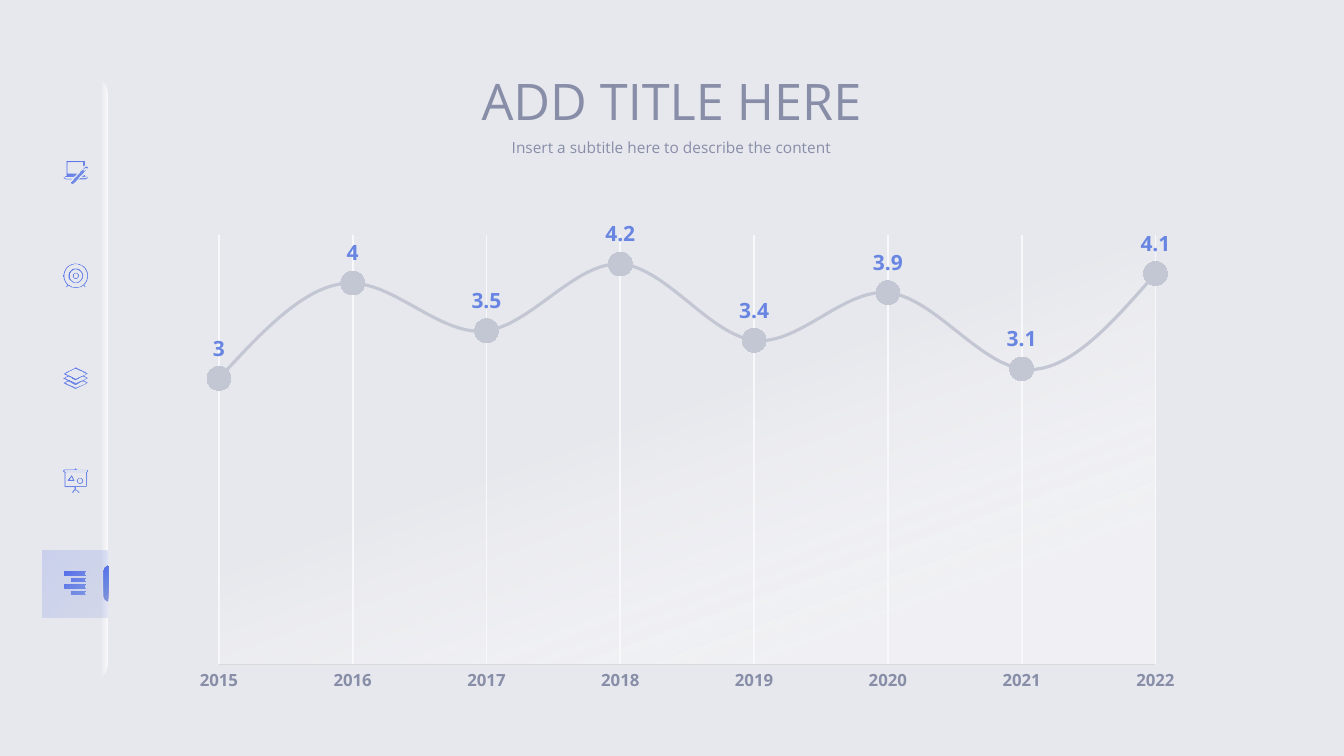
"""Build a line chart slide with a vertical icon menu."""
from math import cos, radians, sin

from lxml import etree
from pptx import Presentation
from pptx.chart.data import CategoryChartData
from pptx.dml.color import RGBColor
from pptx.enum.chart import XL_CHART_TYPE, XL_LABEL_POSITION, XL_MARKER_STYLE, XL_TICK_MARK
from pptx.enum.shapes import MSO_SHAPE
from pptx.enum.text import MSO_ANCHOR, MSO_AUTO_SIZE, PP_ALIGN
from pptx.oxml import parse_xml
from pptx.oxml.ns import nsdecls, qn
from pptx.util import Cm, Pt

LINE_MARKERS = XL_CHART_TYPE.LINE_MARKERS
ABOVE = XL_LABEL_POSITION.ABOVE
CIRCLE = XL_MARKER_STYLE.CIRCLE
NO_TICK = XL_TICK_MARK.NONE
ROUND_RECT = MSO_SHAPE.ROUNDED_RECTANGLE
TOP, BOTTOM = MSO_ANCHOR.TOP, MSO_ANCHOR.BOTTOM
NO_FIT = MSO_AUTO_SIZE.NONE
CENTER = PP_ALIGN.CENTER

PAPER = RGBColor(0xE7, 0xE8, 0xED)
LIGHT = RGBColor(0xF8, 0xF8, 0xFA)
SLATE = RGBColor(0x88, 0x8E, 0xA8)
SILVER = RGBColor(0xC3, 0xC6, 0xD3)
AXIS = RGBColor(0xD9, 0xD9, 0xD9)
ROYAL = RGBColor(0x57, 0x70, 0xEB)
BLUE = RGBColor(0x68, 0x85, 0xE2)
PALE_BLUE = RGBColor(0x87, 0x97, 0xD9)
FONT = "Open Sans"


def set_text(sp, text, size, color=SLATE, anchor=TOP, spacing=1.0):
    tf = sp.text_frame
    tf.word_wrap = True
    tf.auto_size = NO_FIT
    tf.vertical_anchor = anchor
    tf.margin_left = tf.margin_right = 0
    tf.margin_top = tf.margin_bottom = Cm(0.13)
    p = tf.paragraphs[0]
    p.alignment = CENTER
    p.line_spacing = spacing
    p.space_before = Pt(0)
    pPr = p._p.get_or_add_pPr()
    pPr.set("marL", "0")
    pPr.set("indent", "0")
    etree.SubElement(pPr, qn("a:buNone"))
    r = p.add_run()
    r.text = text
    r.font.name = FONT
    r.font.size = Pt(size)
    r.font.color.rgb = color


def gradient(stops, angle=None):
    marks = "".join(
        f'<a:gs pos="{pos * 1000}"><a:srgbClr val="{color}">'
        f'<a:alpha val="{alpha * 1000}"/></a:srgbClr></a:gs>'
        for pos, color, alpha in stops)
    if angle is None:
        way = '<a:path path="circle"><a:fillToRect r="100000" b="100000"/></a:path>'
    else:
        way = f'<a:lin ang="{angle * 60000}" scaled="0"/>'
    return parse_xml(f'<a:gradFill {nsdecls("a")} rotWithShape="1">'
                     f'<a:gsLst>{marks}</a:gsLst>{way}</a:gradFill>')


prs = Presentation()
prs.slide_width, prs.slide_height = Cm(33.87), Cm(19.05)
s = prs.slides.add_slide(prs.slide_layouts[1])
s.background.fill.solid()
s.background.fill.fore_color.rgb = PAPER

title, subtitle = s.placeholders
for sp, top, height in [(title, 1.78, 1.65), (subtitle, 3.35, 0.74)]:
    sp.left, sp.top, sp.width, sp.height = Cm(10.03), Cm(top), Cm(13.79), Cm(height)
set_text(title, "ADD TITLE HERE", 36, anchor=BOTTOM, spacing=0.9)
set_text(subtitle, "Insert a subtitle here to describe the content", 11)

data = CategoryChartData()
data.categories = [str(year) for year in range(2015, 2023)]
data.add_series("Series 1", [3, 4, 3.5, 4.2, 3.4, 3.9, 3.1, 4.1])
chart = s.shapes.add_chart(LINE_MARKERS, Cm(4.52), Cm(5.54), Cm(25.6), Cm(12.14), data).chart
chart.has_title = chart.has_legend = False
chart.font.name, chart.font.size = FONT, Pt(10)

years = chart.category_axis
years.major_tick_mark = years.minor_tick_mark = NO_TICK
years.has_major_gridlines = True
for line, color, width in [(years.format.line, AXIS, 0.75),
                           (years.major_gridlines.format.line, LIGHT, 1.25)]:
    line.color.rgb = color
    line.width = Pt(width)

values = chart.value_axis
values.minimum_scale, values.maximum_scale = 0, 4.5
values.has_major_gridlines = False
values.visible = False

plot = chart.plots[0]
plot.vary_by_categories = False
plot.has_data_labels = True
labels = plot.data_labels
labels.show_value = True
labels.position = ABOVE
for font, size, color in [(years.tick_labels.font, 12, SLATE), (labels.font, 15, BLUE)]:
    font.name, font.size, font.bold = FONT, Pt(size), True
    font.color.rgb = color

series = plot.series[0]
series.smooth = True
series.format.line.color.rgb = SILVER
series.format.line.width = Pt(2.25)
marker = series.marker
marker.style, marker.size = CIRCLE, 17
marker.format.fill.solid()
marker.format.fill.fore_color.rgb = SILVER
marker.format.line.fill.background()

area = chart.element.find(".//" + qn("c:plotArea"))
val_ax = area.find(qn("c:valAx"))
for parent, tag in [(area, "c:layout"), (val_ax, "c:crossBetween")]:
    for old in parent.findall(qn(tag)):
        parent.remove(old)
val_ax.find(qn("c:crosses")).addnext(
    parse_xml(f'<c:crossBetween {nsdecls("c")} val="midCat"/>'))
frame = "".join(f'<c:{key} val="{val}"/>' for key, val in [
    ("layoutTarget", "inner"), ("xMode", "edge"), ("yMode", "edge"),
    ("x", 0.039), ("y", 0.03), ("w", 0.922), ("h", 0.893)])
area.insert(0, parse_xml(
    f'<c:layout {nsdecls("c")}><c:manualLayout>{frame}</c:manualLayout></c:layout>'))
area_pr = etree.SubElement(area, qn("c:spPr"))
area_pr.append(gradient([(41, PAPER, 100), (81, LIGHT, 55)], 70))

menu_stops = [(0, LIGHT, 100), (11, PAPER, 100), (100, PAPER, 100)]
active_stops = [(0, ROYAL, 20), (50, BLUE, 20), (100, PALE_BLUE, 20)]
icon_stops = [(0, ROYAL, 100), (100, BLUE, 80)]
tab_stops = [(0, ROYAL, 100), (50, BLUE, 100), (100, PALE_BLUE, 100)]

for top, height, corner, stops, angle in [(1.96, 15.16, 0.24, menu_stops, 180),
                                          (13.87, 1.68, 0, active_stops, 45)]:
    sp = s.shapes.add_shape(ROUND_RECT, Cm(1.07), Cm(top), Cm(1.65), Cm(height))
    sp.adjustments[0] = corner
    sp.shadow.inherit = False
    sp.line.fill.background()
    sp._element.spPr[1].addnext(gradient(stops, angle))

laptop = [
    [(11, -4), (8, -2), (7, -3), (10, -5)],
    [(12, -5), (11.5, -6), (10, -6.5), (9, -6), (-4, 8), (-5, 9), (-4.5, 10), (-3, 10.5),
     (-2, 10), (11, -4)],
    [(10, 3), (9, 3), (9, 1), (5, 4), (10, 4), (11, 4.5), (10, 5), (4, 5), (3, 6),
     (10, 6), (12, 4.5)],
    [(-3, 5), (-10, 5), (-11, 4.5), (-10, 4), (-2, 4), (2, 0), (-8, 0), (-8, -10), (7, -10),
     (7, -6), (9, -7), (9, -11), (-9, -11), (-9, 3), (-10, 3), (-12, 4.5), (-10, 6), (-4, 6)]]
target = [[(side * x, y) for x, y in [(8, 8.5), (10, 11), (9, 11.5), (7, 9.5)]]
          for side in (-1, 1)]
layers = [
    [(0, 4.5), (-10, 0), (-7, -1.5), (0, 2), (7, -1.5), (10, 0)],
    [(0, 9), (-10, 4.5), (-7, 3), (0, 6.5), (7, 3), (10, 4.5)],
    [(-10, -4.5), (0, -9), (10, -4.5), (0, 0.5)],
    [(12, 0), (8, -2.5), (12, -4.5), (0, -10.5), (-12, -4.5), (-8, -2.5), (-12, 0),
     (-8, 2), (-12, 4.5), (0, 10.5), (12, 4.5), (8, 2)]]
board = [
    [(-8, 0), (-1, 0), (-4, -6)], [(-6, -1), (-3, -1), (-4, -4)],
    [(-11, -9), (-11, -10), (11, -10), (11, -9)], [(-10, 5), (-10, -8), (10, -8), (10, 5)],
    [(11, -11), (1, -11), (0, -12), (-1, -11), (-11, -11), (-12, -10), (-12, -9), (-11, -8),
     (-11, 6), (-1, 6), (-1, 8), (-4, 11), (-3, 12), (0, 9), (3, 12), (4, 11), (0, 8),
     (0, 6), (10, 6), (11, 5), (11, -8), (12, -9), (12, -10)]]
bars = []
for row in range(4):
    top, left = 6 * row - 10.5, (-11, -5)[row % 2]
    bars += [[(left + d, top + d), (10 - d, top + d), (10 - d, top + 4 - d),
              (left + d, top + 4 - d)] for d in (0, 1)]
for icon, cx, radii in [(target, 0, (12, 11, 7, 6, 3, 2)), (board, 4, (3, 2))]:
    icon += [[(cx + radius * cos(radians(a)), radius * sin(radians(a)))
              for a in range(0, 360, 10)] for radius in radii]
tab = [[(2.5, -18), (2.5, 18), (0, 16.5), (-1.5, 15), (-2, 13), (-2, -13), (-1.5, -15),
        (0, -16.5)]]

outlines = [(icon, 1.91, 4.36 + 2.58 * i, icon_stops)
            for i, icon in enumerate([laptop, target, layers, board, bars])]
outlines.append((tab, 2.67, 14.71, tab_stops))
for contours, x, y, stops in outlines:
    fb = s.shapes.build_freeform(scale=Cm(2.54) / 1000)
    for i, contour in enumerate(contours):
        points = [(px * 10, py * 10) for px, py in contour]
        fb.move_to(*points[0])
        fb.add_line_segments(points[1:], close=True)
    sp = fb.convert_to_shape(Cm(x), Cm(y))
    sp.shadow.inherit = False
    sp.line.fill.background()
    sp._element.spPr[1].addnext(gradient(stops))

prs.save("out.pptx")
